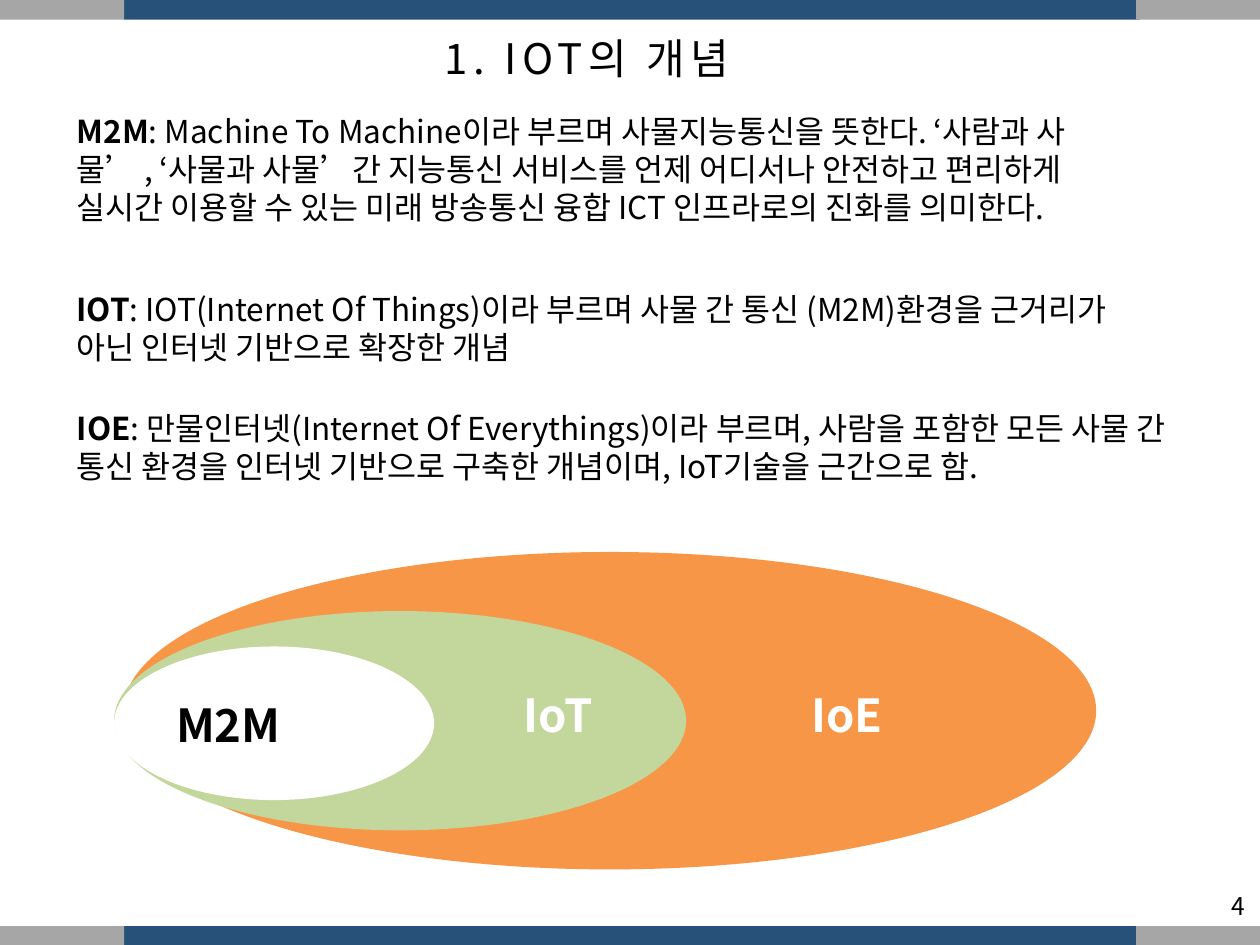
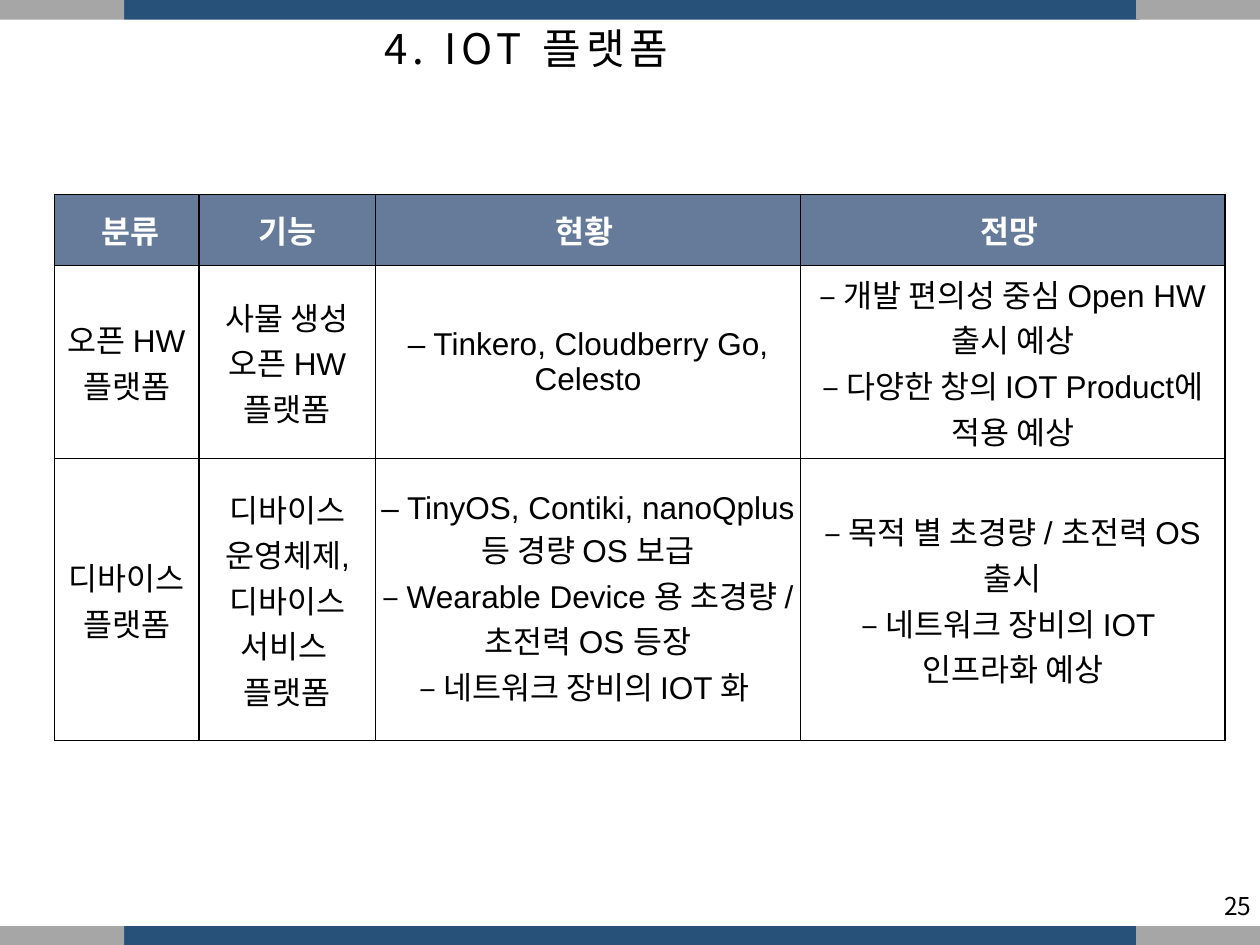
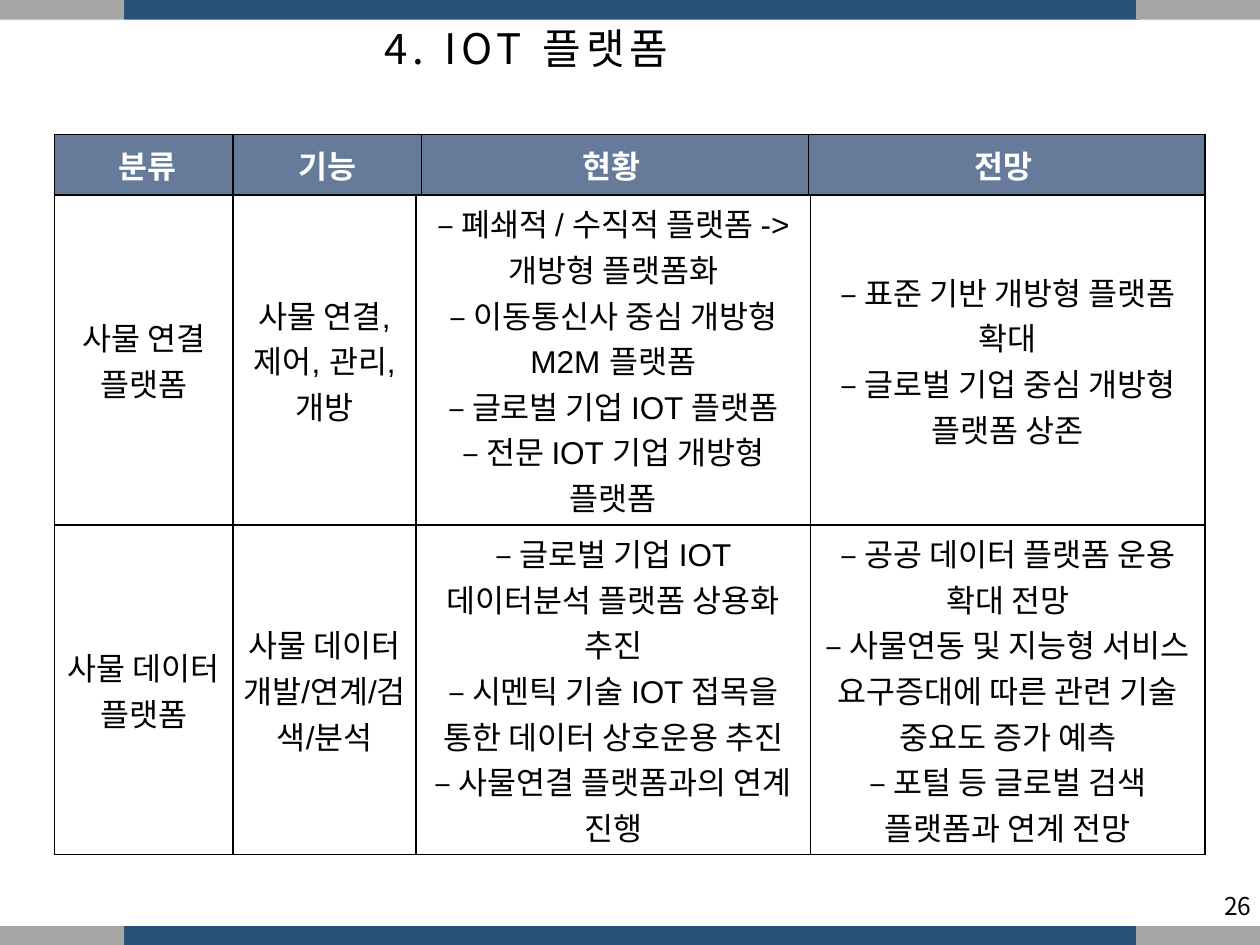
from dataclasses import dataclass, replace

from lxml import etree
from pptx import Presentation
from pptx import util as u
from pptx.dml.color import RGBColor
from pptx.enum import shapes, text
from pptx.oxml.ns import qn

KOREAN_FONT = "Noto Sans CJK KR"
BLUE, GRAY, SLATE = "28517A", "A6A6A6", "657B99"
ORANGE, GREEN, WHITE, BLACK = "F79646", "C3D69B", "FFFFFF", "000000"
BAND_HEIGHT = 11.3
CELL_INSET = 2.88


@dataclass(frozen=True)
class Place:
    left: float
    top: float
    width: float
    height: float

    def points(self) -> tuple:
        return tuple(u.Pt(n) for n in (self.left, self.top, self.width, self.height))


@dataclass(frozen=True)
class Look:
    size: float
    color: str = BLACK
    bold: bool = False
    font: str = KOREAN_FONT
    spacing: float = 0


@dataclass(frozen=True)
class Band:
    left: float
    width: float
    color: str


@dataclass(frozen=True)
class Definition:
    term: str
    meaning: str
    place: Place


@dataclass(frozen=True)
class Circle:
    label: str
    place: Place
    fill: str
    label_left: float
    label_top: float
    label_color: str


@dataclass(frozen=True)
class Grid:
    left: float
    top: float
    columns: tuple
    heights: tuple
    rows: tuple


TITLE = Look(24, spacing=3)
BODY = Look(18)
TERM = replace(BODY, bold=True)
PAGE_NUMBER = Look(14)
CELL = Look(18, font="Arial")
HEADER_CELL = replace(CELL, color=WHITE, bold=True)

BANDS = (
    Band(71, 580.3, BLUE),
    Band(0, 71, GRAY),
    Band(649.3, 70.7, GRAY),
)

DEFINITIONS = (
    Definition(
        "M2M",
        ": Machine To Machine이라 부르며 사물지능통신을 뜻한다. ‘사람과 사물’ , "
        "‘사물과 사물’간 지능통신 서비스를 언제 어디서나 안전하고 편리하게 실시간 "
        "이용할 수 있는 미래 방송통신 융합 ICT 인프라로의 진화를 의미한다.",
        Place(36.7, 60.5, 607, 94.3),
    ),
    Definition(
        "IOT",
        ": IOT(Internet Of Things)이라 부르며 사물 간 통신 (M2M)환경을 "
        "근거리가 아닌 인터넷 기반으로 확장한 개념",
        Place(36.7, 162, 607, 51.1),
    ),
    Definition(
        "IOE",
        ": 만물인터넷(Internet Of Everythings)이라 부르며, 사람을 포함한 모든 사물 간 "
        "통신 환경을 인터넷 기반으로 구축한 개념이며, IoT기술을 근간으로 함.",
        Place(36.7, 230.4, 646.6, 51.1),
    ),
)

CIRCLES = (
    Circle("IoE", Place(70.6, 315.4, 555.8, 181.4), ORANGE, 456.5, 388.8, WHITE),
    Circle("IoT", Place(65.2, 349.2, 326.9, 125.3), GREEN, 292.3, 388.8, WHITE),
    Circle("M2M", Place(65.2, 369.4, 182.9, 87.8), WHITE, 93.6, 394.6, BLACK),
)

HEADERS = (" 분류", "기능", "현황 ", "전망 ")

DEVICE_GRID = Grid(
    31, 111.3, (82.8, 100.9, 242.7, 242.7), (40.4, 110.3, 161.3),
    (
        HEADERS,
        (
            "오픈 HW\v플랫폼",
            "사물 생성 오픈 HW 플랫폼",
            "– Tinkero, Cloudberry Go, Celesto",
            "– 개발 편의성 중심 Open HW 출시 예상\v– 다양한 창의 IOT Product에 적용 예상",
        ),
        (
            "디바이스\v플랫폼",
            "디바이스 운영체제,\v디바이스 서비스 \n플랫폼",
            "– TinyOS, Contiki, nanoQplus 등 경량 OS 보급\v"
            "– Wearable Device 용 초경량 / 초전력 OS 등장\v– 네트워크 장비의 IOT 화 ",
            "– 목적 별 초경량 / 초전력 OS 출시\v– 네트워크 장비의 IOT \n인프라화 예상",
        ),
    ),
)

HEADER_GRID = Grid(31, 77, (102.2, 107.8, 221, 226.5), (34.2,), (HEADERS,))

DATA_GRID = Grid(
    31, 111.4, (102.2, 104.6, 225.4, 225.4), (188.5, 188.5),
    (
        (
            "사물 연결\v플랫폼",
            "사물 연결, 제어, 관리, 개방",
            "– 폐쇄적 / 수직적 플랫폼 -> 개방형 플랫폼화\v– 이동통신사 중심 개방형 M2M 플랫폼\v"
            "– 글로벌 기업 IOT 플랫폼\v– 전문 IOT 기업 개방형 플랫폼",
            "– 표준 기반 개방형 플랫폼 확대\v– 글로벌 기업 중심 개방형 플랫폼 상존",
        ),
        (
            "사물 데이터\v플랫폼",
            "사물 데이터\v개발/연계/검색/분석",
            "– 글로벌 기업 IOT 데이터분석 플랫폼 상용화 추진\v"
            "– 시멘틱 기술 IOT 접목을 통한 데이터 상호운용 추진\v– 사물연결 플랫폼과의 연계 진행",
            "– 공공 데이터 플랫폼 운용 확대 전망\v"
            "– 사물연동 및 지능형 서비스 요구증대에 따른 관련 기술 중요도 증가 예측\v"
            "– 포털 등 글로벌 검색 플랫폼과 연계 전망",
        ),
    ),
)


def paint(fill, color: str) -> None:
    fill.solid()
    fill.fore_color.rgb = RGBColor.from_string(color)


def style_span(span, look: Look) -> None:
    font = span.font
    font.size, font.bold, font.name = u.Pt(look.size), look.bold, look.font
    paint(font.fill, look.color)
    if look.spacing:
        span._r.get_or_add_rPr().set("spc", str(round(look.spacing * 100)))


def add_text(page, place: Place, parts: list, centered: bool = False) -> None:
    """Add a one-paragraph box from (wording, look) parts."""
    box = page.shapes.add_textbox(*place.points())
    frame = box.text_frame
    frame.word_wrap = True
    frame.auto_size = text.MSO_AUTO_SIZE.SHAPE_TO_FIT_TEXT
    para = frame.paragraphs[0]
    if centered:
        para.alignment = text.PP_ALIGN.CENTER
    for wording, look in parts:
        span = para.add_run()
        span.text = wording
        style_span(span, look)


def add_filled(page, kind, place: Place, color: str):
    shape = page.shapes.add_shape(kind, *place.points())
    shape.shadow.inherit = False
    paint(shape.fill, color)
    shape.line.fill.background()
    return shape


def add_bands_to_master(deck, page) -> None:
    """Draw the bands on a page, then move them to the master for all pages."""
    tree = deck.slide_master.element.cSld.spTree
    number = 100
    for top in (0, 529.2):
        for band in BANDS:
            place = Place(band.left, top, band.width, BAND_HEIGHT)
            shape = add_filled(page, shapes.MSO_SHAPE.RECTANGLE, place, band.color)
            shape.element.nvSpPr.cNvPr.set("id", str(number))
            tree.append(shape.element)
            number += 1


def add_page(deck, title: str, left: float, top: float, number: int):
    page = deck.slides.add_slide(deck.slide_layouts[6])
    add_text(page, Place(left, top, 303.1, 36), [(title, TITLE)])
    add_text(page, Place(636.5, 505.4, 141.8, 24.5), [(str(number), PAGE_NUMBER)], True)
    return page


def style_cell(cell, wording: str, look: Look, fill: str) -> None:
    cell.text_frame.text = wording
    cell.vertical_anchor = text.MSO_ANCHOR.MIDDLE
    cell.margin_left = cell.margin_right = u.Pt(CELL_INSET)
    cell.margin_top = cell.margin_bottom = u.Pt(CELL_INSET)
    for para in cell.text_frame.paragraphs:
        para.alignment = text.PP_ALIGN.CENTER
        for span in para.runs:
            style_span(span, look)
    properties = cell._tc.get_or_add_tcPr()
    for side in ("lnL", "lnR", "lnT", "lnB"):
        line = etree.SubElement(properties, qn(f"a:{side}"), w=str(u.Pt(1)))
        solid = etree.SubElement(line, qn("a:solidFill"))
        etree.SubElement(solid, qn("a:srgbClr"), val=BLACK)
    paint(cell.fill, fill)


def add_grid(page, grid: Grid) -> None:
    place = Place(grid.left, grid.top, sum(grid.columns), sum(grid.heights))
    frame = page.shapes.add_table(len(grid.rows), len(grid.columns), *place.points())
    table = frame.table
    for column, width in zip(table.columns, grid.columns):
        column.width = u.Pt(width)
    for row, height, wordings in zip(table.rows, grid.heights, grid.rows):
        row.height = u.Pt(height)
        look, fill = (HEADER_CELL, SLATE) if wordings is HEADERS else (CELL, WHITE)
        for cell, wording in zip(row.cells, wordings):
            style_cell(cell, wording, look, fill)


def fill_concept_page(page) -> None:
    for circle in CIRCLES:
        add_filled(page, shapes.MSO_SHAPE.OVAL, circle.place, circle.fill)
    for circle in CIRCLES:
        place = Place(circle.label_left, circle.label_top, 113, 38.9)
        add_text(page, place, [(circle.label, Look(26, circle.label_color, True))])
    for item in DEFINITIONS:
        add_text(page, item.place, [(item.term, TERM), (item.meaning, BODY)])


def main() -> None:
    deck = Presentation()
    deck.slide_width, deck.slide_height = u.Pt(720), u.Pt(540)

    concept = add_page(deck, "1. IOT의 개념", 247, 15.1, 4)
    add_bands_to_master(deck, concept)
    fill_concept_page(concept)

    for number, grids in ((25, (DEVICE_GRID,)), (26, (DATA_GRID, HEADER_GRID))):
        page = add_page(deck, "4. IOT 플랫폼", 212.4, 9.4, number)
        for grid in grids:
            add_grid(page, grid)

    deck.save("out.pptx")


if __name__ == "__main__":
    main()
